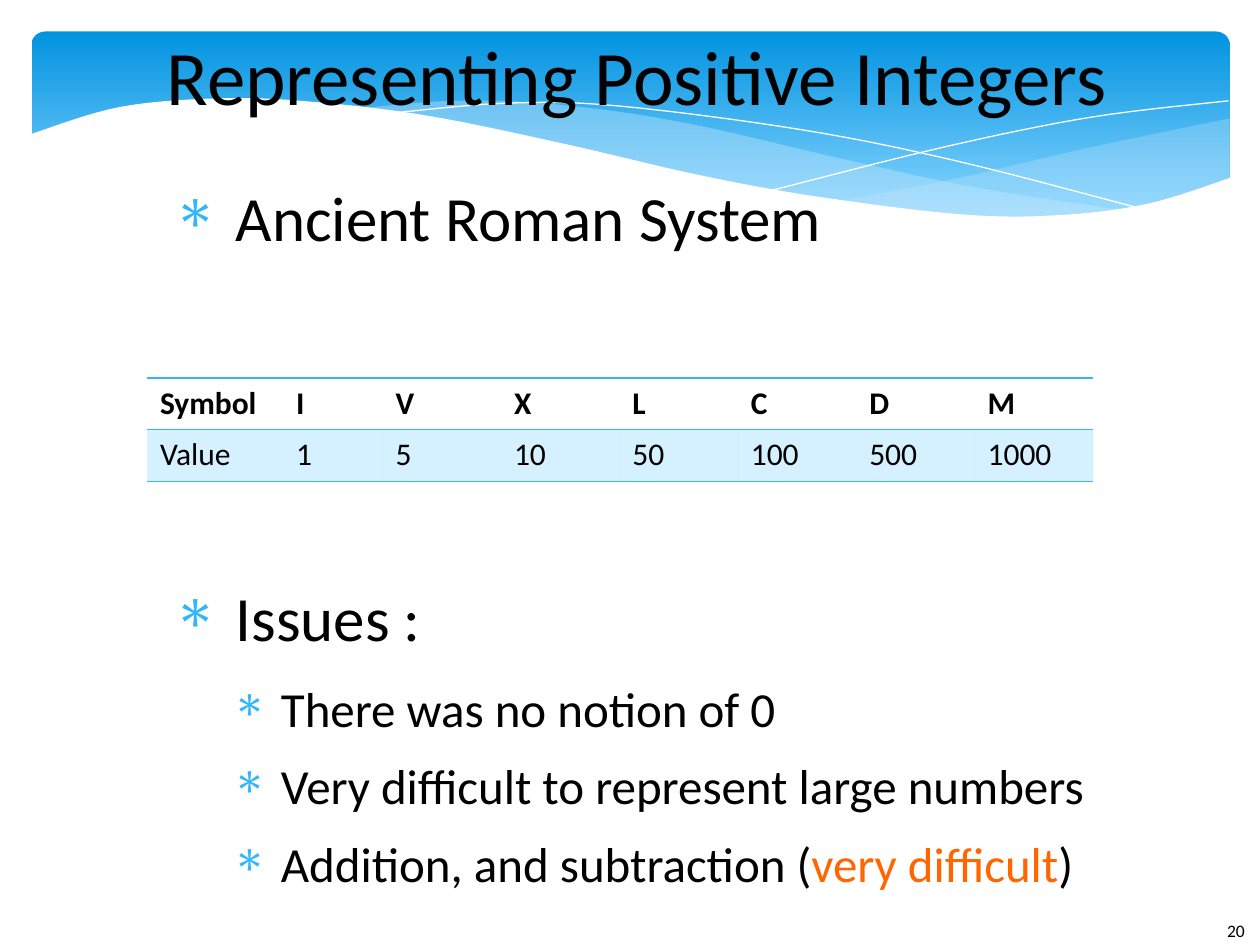
from dataclasses import dataclass

import pptx
import pptx.dml.color
import pptx.enum.dml
import pptx.enum.shapes
import pptx.enum.text
import pptx.oxml
import pptx.oxml.ns
import pptx.util
from lxml import etree

PX = 9144  # EMU in one px, 100 px to the inch
Point = tuple[int, int]


@dataclass(frozen=True)
class Theme:
    font: str = "Calibri"
    ink: str = "000000"
    paper: str = "FFFFFF"
    accent: str = "31B6FD"
    warning: str = "FF6600"
    header_top: str = "0293E0"
    header_bottom: str = "83D3FE"
    haze: str = "C6E7FC"
    title_size: int = 44
    topic_size: int = 36
    point_size: int = 28
    table_size: int = 18
    number_size: int = 10


@dataclass(frozen=True)
class Box:
    left: int
    top: int
    width: int
    height: int

    def emu(self) -> tuple[int, ...]:
        return tuple(v * PX for v in (self.left, self.top, self.width, self.height))


@dataclass(frozen=True)
class Wave:
    """A smooth crest; corners close it to a filled area."""
    crest: tuple[Point, ...]
    color: str
    corners: tuple[Point, ...] = ()
    opacity: int = 100


@dataclass(frozen=True)
class Level:
    margin: int
    hanging: int
    size: int
    after: float


@dataclass(frozen=True)
class Bullet:
    level: Level
    runs: tuple[tuple[str, str], ...]
    before: float = 0


THEME = Theme()
TOPIC = Level(62, 50, THEME.topic_size, 13.4)
POINT = Level(98, 39, THEME.point_size, 10.7)
TABLE_GAP = 172  # points kept free for the table between the two topics

# The last wave covers the lower parts of the hazes before it.
WAVES = (
    Wave(((976, 94), (861, 118), (753, 143), (661, 160)),
         THEME.haze, ((976, 200),), 29),
    Wave(((286, 86), (361, 80), (442, 83), (541, 97), (668, 126), (775, 149),
          (893, 167)), THEME.haze, ((600, 200),), 40),
    Wave(((309, 90), (401, 82), (489, 84), (636, 103), (760, 128), (907, 166)),
         THEME.paper),
    Wave(((613, 151), (748, 117), (866, 93), (975, 80)), THEME.paper),
    Wave(((977, 141), (910, 162), (837, 171), (761, 170), (648, 156), (555, 139),
          (447, 114), (340, 92), (250, 81), (177, 78), (95, 85), (23, 107)),
         THEME.paper, ((23, 224), (977, 224))),
)

BULLETS = (
    Bullet(TOPIC, (("Ancient Roman System", THEME.ink),)),
    Bullet(TOPIC, (("Issues :", THEME.ink),), TABLE_GAP),
    Bullet(POINT, (("There was no notion of 0", THEME.ink),)),
    Bullet(POINT, (("Very difficult to represent large numbers", THEME.ink),)),
    Bullet(POINT, (("Addition, and subtraction (", THEME.ink),
                   ("very difficult", THEME.warning), (")", THEME.ink))),
)

NUMERALS = (("Symbol", "I", "V", "X", "L", "C", "D", "M"),
            ("Value", "1", "5", "10", "50", "100", "500", "1000"))
NUMERAL_WIDTHS = (108, 79) + (94,) * 6
NUMERAL_ROW = 41


def rgb(color: str) -> pptx.dml.color.RGBColor:
    return pptx.dml.color.RGBColor.from_string(color)


def fill_solid(fill, color: str, opacity: int = 100) -> None:
    fill.solid()
    fill.fore_color.rgb = rgb(color)
    if opacity < 100:
        tint = fill._xPr.find(".//" + pptx.oxml.ns.qn("a:srgbClr"))
        etree.SubElement(tint, pptx.oxml.ns.qn("a:alpha"), val=str(opacity * 1000))


def set_font(font, size: int, color: str = THEME.ink, bold: bool = False) -> None:
    font.name, font.size, font.bold = THEME.font, pptx.util.Pt(size), bold
    font.color.rgb = rgb(color)


def draw_header(shapes) -> None:
    header = shapes.add_shape(pptx.enum.shapes.MSO_SHAPE.ROUNDED_RECTANGLE,
                              *Box(25, 25, 951, 156).emu())
    header.shadow.inherit = False
    header.adjustments[0] = 0.07
    header.line.fill.background()
    header.fill.gradient()
    header.fill.gradient_angle = 270
    stops = ((0, THEME.header_top), (0.9, THEME.header_bottom))
    for stop, (position, color) in zip(header.fill.gradient_stops, stops):
        stop.position, stop.color.rgb = position, rgb(color)


def smooth(knots: tuple[Point, ...], steps: int = 8) -> list[tuple[float, float]]:
    """Run a Catmull-Rom spline through the knots."""
    padded = (knots[0], *knots, knots[-1])
    curve = [knots[0]]
    for a, b, c, d in zip(padded, padded[1:], padded[2:], padded[3:]):
        for t in (step / steps for step in range(1, steps + 1)):
            curve.append(tuple(
                q + t / 2 * (r - p + t * (2 * p - 5 * q + 4 * r - s
                                          + t * (3 * (q - r) + s - p)))
                for p, q, r, s in zip(a, b, c, d)))
    return curve


def draw_wave(shapes, wave: Wave) -> None:
    start, *rest = [(round(x * PX), round(y * PX))
                    for x, y in (*smooth(wave.crest), *wave.corners)]
    builder = shapes.build_freeform(*start)
    builder.add_line_segments(rest, close=bool(wave.corners))
    outline = builder.convert_to_shape()
    outline.shadow.inherit = False
    if wave.corners:
        fill_solid(outline.fill, wave.color, wave.opacity)
        outline.line.fill.background()
    else:
        outline.fill.background()
        outline.line.color.rgb = rgb(wave.color)
        outline.line.width = pptx.util.Pt(0)


def add_text_frame(shapes, box: Box, inset: bool = False):
    frame = shapes.add_textbox(*box.emu()).text_frame
    frame.word_wrap = True
    if not inset:
        frame.margin_left = frame.margin_right = 0
        frame.margin_top = frame.margin_bottom = 0
    return frame


def write_bullet(paragraph, bullet: Bullet) -> None:
    level = bullet.level
    properties = paragraph._p.get_or_add_pPr()
    properties.set("marL", str(level.margin * PX))
    properties.set("indent", str(-level.hanging * PX))
    space = pptx.oxml.ns.nsdecls("a")
    for mark in (f'<a:buClr {space}><a:srgbClr val="{THEME.accent}"/></a:buClr>',
                 f'<a:buFont {space} typeface="Symbol"/>',
                 f'<a:buChar {space} char="∗"/>'):
        properties.append(pptx.oxml.parse_xml(mark))
    paragraph.level = int(level is POINT)
    if bullet.before:
        paragraph.space_before = pptx.util.Pt(bullet.before)
    paragraph.space_after = pptx.util.Pt(level.after)
    set_font(paragraph.font, level.size)
    for text, color in bullet.runs:
        run = paragraph.add_run()
        run.text = text
        if color != THEME.ink:
            run.font.color.rgb = rgb(color)


def rule_cell(cell, sides: tuple[str, ...]) -> None:
    """Draw accent borders on the named sides, T before B."""
    for place, side in enumerate(sides):
        cell._tc.get_or_add_tcPr().insert(place, pptx.oxml.parse_xml(
            f'<a:ln{side} {pptx.oxml.ns.nsdecls("a")} w="12700"><a:solidFill>'
            f'<a:srgbClr val="{THEME.accent}"/></a:solidFill></a:ln{side}>'))


def draw_numerals(shapes) -> None:
    box = Box(117, 300, sum(NUMERAL_WIDTHS), NUMERAL_ROW * len(NUMERALS))
    numerals = shapes.add_table(len(NUMERALS), len(NUMERAL_WIDTHS), *box.emu()).table
    numerals.horz_banding = False
    style = numerals._tbl.tblPr.find(pptx.oxml.ns.qn("a:tableStyleId"))
    style.text = "{2D5ABB26-0587-4C30-8999-92F81FD0307C}"  # no style, no grid
    for column, width in zip(numerals.columns, NUMERAL_WIDTHS):
        column.width = width * PX
    for r, texts in enumerate(NUMERALS):
        heading = r == 0
        for c, text in enumerate(texts):
            cell = numerals.cell(r, c)
            cell.text = text
            set_font(cell.text_frame.paragraphs[0].font, THEME.table_size, bold=heading)
            if heading:
                cell.fill.background()
            else:
                fill_solid(cell.fill, THEME.accent, 20)
            rule_cell(cell, ("T", "B") if heading else ("B",))


def main() -> None:
    deck = pptx.Presentation()
    deck.slide_width, deck.slide_height = 1000 * PX, 750 * PX
    shapes = deck.slides.add_slide(deck.slide_layouts[6]).shapes
    draw_header(shapes)
    for wave in WAVES:
        draw_wave(shapes, wave)

    title = add_text_frame(shapes, Box(100, 8, 811, 102))
    title.vertical_anchor = pptx.enum.text.MSO_ANCHOR.MIDDLE
    title.text = "Representing Positive Integers"
    title.paragraphs[0].alignment = pptx.enum.text.PP_ALIGN.CENTER
    set_font(title.paragraphs[0].font, THEME.title_size)

    body = add_text_frame(shapes, Box(125, 142, 811, 583))
    for i, bullet in enumerate(BULLETS):
        write_bullet(body.add_paragraph() if i else body.paragraphs[0], bullet)

    page_number = add_text_frame(shapes, Box(964, 725, 61, 40), inset=True)
    page_number.text = "20"
    set_font(page_number.paragraphs[0].font, THEME.number_size)
    draw_numerals(shapes)
    deck.save("out.pptx")


if __name__ == "__main__":
    main()
